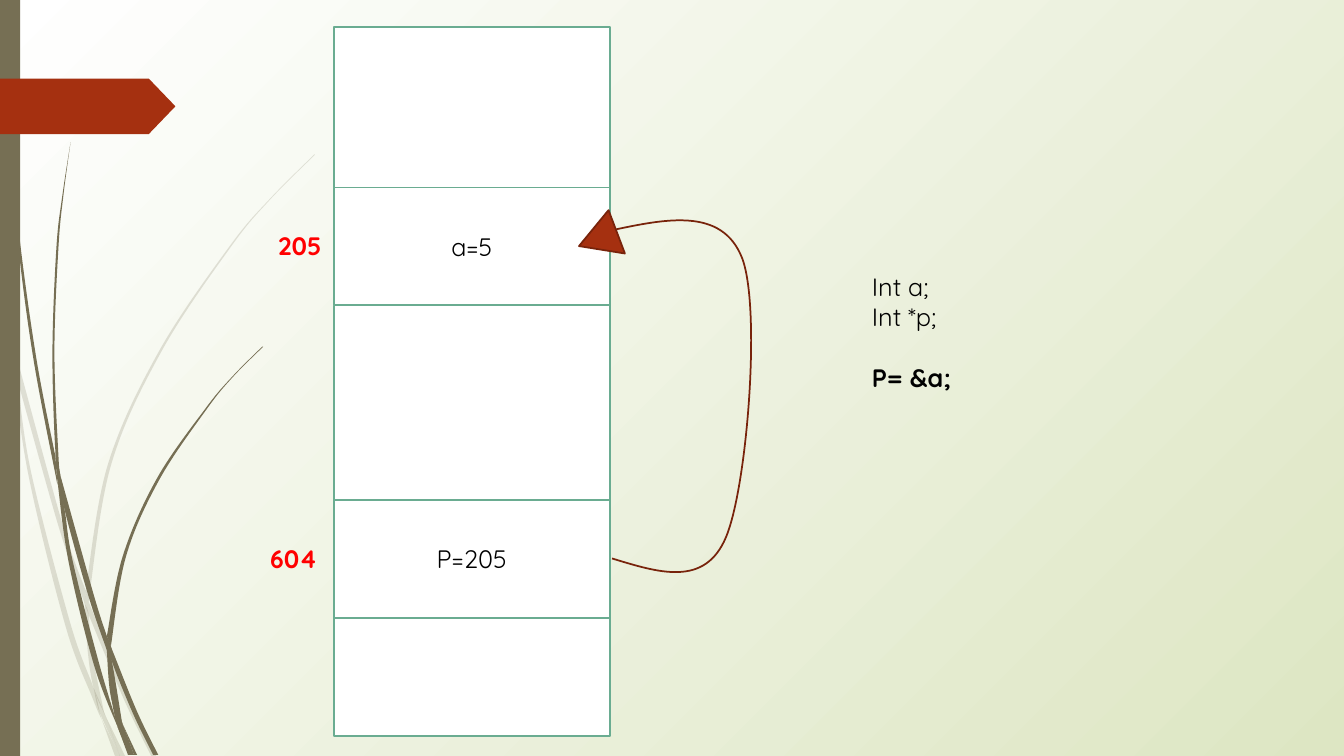
from lxml.etree import SubElement
from pptx import Presentation
from pptx.dml.color import RGBColor
from pptx.enum.shapes import MSO_SHAPE
from pptx.enum.text import MSO_ANCHOR, PP_ALIGN
from pptx.oxml.ns import qn
from pptx.util import Inches, Pt

WHITE = RGBColor(0xFF, 0xFF, 0xFF)
BLACK = RGBColor(0, 0, 0)
RED = RGBColor(0xFF, 0, 0)
PALE_GREEN = RGBColor(0xDD, 0xE6, 0xC3)
OLIVE = RGBColor(0x76, 0x6F, 0x54)
RUST = RGBColor(0xA5, 0x30, 0x10)
DARK_RUST = RGBColor(0x78, 0x23, 0x0B)
TEAL = RGBColor(0x6A, 0xAC, 0x91)

# Each piece of grass is a left and a right edge, from tip to root.
PALE_GRASS = [
    ([(0, 2.99), (0.1, 3.44), (0.11, 3.5)], [(0, 2.82), (0.09, 3.22), (0.11, 3.5)]),
    ([(0.17, 3.76), (0.58, 5.22), (0.84, 5.99)], [(0.14, 3.45), (0.62, 5.2), (0.85, 5.86)]),
    ([(0.88, 6.1), (1.23, 6.94), (1.5, 7.5)],
     [(0.88, 5.96), (0.92, 6.07), (1.27, 6.92), (1.55, 7.5)]),
    ([(1.05, 7.11), (1.19, 7.5)], [(1.05, 7.11), (1.24, 7.5)]),
    ([(0.11, 3.5), (0.28, 4.7), (0.65, 6.21), (0.92, 6.93), (1.01, 7.14)],
     [(0.11, 3.5), (0.17, 3.76), (0.31, 4.69), (0.7, 6.19), (0.93, 6.83), (0.99, 7.07)]),
    ([(0.84, 5.99), (0.87, 6.46), (0.93, 6.83), (1.05, 7.11)],
     [(0.84, 5.99), (0.88, 6.1), (0.91, 6.46), (1.03, 7.06)]),
    ([(3.12, 1.53), (2.68, 1.97), (2.28, 2.44), (1.58, 3.48), (1.07, 4.61), (0.85, 5.86)],
     [(3.12, 1.54), (2.68, 1.98), (2.29, 2.45), (1.6, 3.49), (1.1, 4.62), (0.88, 5.96)]),
    ([(1.01, 7.14), (1.14, 7.5)], [(1.01, 7.14), (1.19, 7.5)]),
    ([(0.85, 5.86), (0.84, 5.99)], [(0.88, 5.96), (0.88, 6.1)]),
    ([(0.93, 6.83), (0.99, 7.07), (1.19, 7.5)], [(0.93, 6.83), (1.05, 7.11), (1.19, 7.5)]),
]
DARK_GRASS = [
    ([(0.03, 0), (0.07, 1.1), (0.17, 2.33), (0.33, 3.55), (0.57, 4.81)],
     [(0.04, 0), (0.08, 1.09), (0.19, 2.32), (0.36, 3.55), (0.55, 4.53)]),
    ([(0.6, 4.72), (0.64, 5.05), (0.88, 5.92), (1.06, 6.45)],
     [(0.6, 4.72), (0.93, 5.9), (1.06, 6.31)]),
    ([(1.1, 6.41), (1.11, 6.56), (1.32, 7.08), (1.52, 7.49)],
     [(1.1, 6.41), (1.13, 6.49), (1.36, 7.06), (1.57, 7.49)]),
    ([(0.57, 4.77), (0.68, 5.57), (0.93, 6.59), (1.17, 7.22)],
     [(0.57, 4.77), (0.64, 5.05), (0.72, 5.56), (0.98, 6.57), (1.16, 7.17)]),
    ([(0.7, 1.41), (0.62, 1.93), (0.56, 2.45), (0.52, 3.49), (0.55, 4.49), (0.6, 4.72)],
     [(0.7, 1.41), (0.63, 1.93), (0.58, 2.45), (0.54, 3.49), (0.58, 4.53), (0.6, 4.72)]),
    ([(1.22, 7.19), (1.33, 7.49)], [(1.22, 7.19), (1.36, 7.49)]),
    ([(0.55, 4.49), (0.57, 4.77), (0.64, 5.05)], [(0.55, 4.49), (0.6, 4.72), (0.64, 5.05)]),
    ([(2.6, 3.44), (2.31, 3.73), (2.04, 4.05), (1.56, 4.74), (1.22, 5.51), (1.06, 6.31)],
     [(2.61, 3.44), (2.31, 3.74), (2.05, 4.06), (1.58, 4.76), (1.25, 5.52), (1.1, 6.41)]),
    ([(1.17, 7.22), (1.27, 7.49)], [(1.17, 7.22), (1.31, 7.49)]),
    ([(1.06, 6.45), (1.1, 6.91), (1.22, 7.19)],
     [(1.06, 6.45), (1.11, 6.56), (1.21, 7.16)]),
    ([(1.06, 6.31), (1.06, 6.45), (1.11, 6.56)], [(1.06, 6.31), (1.1, 6.41), (1.11, 6.56)]),
    ([(1.1, 6.91), (1.17, 7.22), (1.3, 7.49)], [(1.1, 6.91), (1.22, 7.19), (1.33, 7.49)]),
]
POINTER_START = (6.07, 5.54)
POINTER_CURVES = [
    [(6.53, 5.68), (6.99, 5.83), (7.2, 5.33)],
    [(7.41, 4.83), (7.55, 3.06), (7.36, 2.56)],
    [(7.16, 2.05), (6.6, 2.17), (6.04, 2.29)],
]


def smooth(knots):
    """Cubic curves through the knots: two control points and an end each."""
    padded = [knots[0], *knots, knots[-1]]
    curves = []
    for before, start, end, after in zip(padded, padded[1:], padded[2:], padded[3:]):
        pull_out = [s + (e - b) / 6 for b, s, e in zip(before, start, end)]
        pull_in = [e - (a - s) / 6 for s, e, a in zip(start, end, after)]
        curves.append([pull_out, pull_in, end])
    return curves


class MemorySlide:
    font = "Quicksand"
    size = Pt(18)
    line_width = Pt(1.25)

    def __init__(self, presentation):
        self.slide = presentation.slides.add_slide(presentation.slide_layouts[6])
        self.shapes = self.slide.shapes

    def background(self, inner, outer):
        """Radial gradient spreading from the top left corner."""
        fill = self.slide.background.fill
        fill.gradient()
        for stop, color in zip(fill.gradient_stops, (inner, outer)):
            stop.color.rgb = color
        gradient = self.slide.element.find(".//" + qn("a:gradFill"))
        gradient.remove(gradient.find(qn("a:lin")))
        circle = SubElement(gradient, qn("a:path"), path="circle")
        SubElement(circle, qn("a:fillToRect"), r="100000", b="100000")

    def paint(self, shape, fill, line):
        shape.shadow.inherit = False
        if fill is None:
            shape.fill.background()
        else:
            shape.fill.solid()
            shape.fill.fore_color.rgb = fill
        if line is None:
            shape.line.fill.background()
        else:
            shape.line.color.rgb = line
            shape.line.width = self.line_width

    def preset(self, kind, box, fill, line=None):
        shape = self.shapes.add_shape(kind, *map(Inches, box))
        self.paint(shape, fill, line)
        return shape

    def curved(self, start, curves, fill=None, line=None, opacity=100):
        """Freeform whose straight segments are bent into cubic curves."""
        builder = self.shapes.build_freeform(*map(Inches, start))
        builder.add_line_segments([tuple(map(Inches, curve[-1])) for curve in curves],
                                  close=fill is not None)
        shape = builder.convert_to_shape()
        self.paint(shape, fill, line)
        segments = list(shape._element.iter(qn("a:lnTo")))
        for segment, curve in zip(segments, curves):
            segment.tag = qn("a:cubicBezTo")
            segment.remove(segment[0])
            for x, y in curve:
                SubElement(segment, qn("a:pt"), x=str(Inches(x) - shape.left),
                           y=str(Inches(y) - shape.top))
        if opacity < 100:
            color = shape._element.find(".//" + qn("a:srgbClr"))
            SubElement(color, qn("a:alpha"), val=str(opacity * 1000))

    def grass(self, left, right, opacity):
        root = [left[-1], right[-1], right[-1]]
        self.curved(left[0], smooth(left) + [root] + smooth(right[::-1]),
                    OLIVE, opacity=opacity)

    def format(self, paragraph, color=BLACK, bold=False):
        for run in paragraph.runs:
            run.font.name = self.font
            run.font.size = self.size
            run.font.color.rgb = color
            run.font.bold = bold

    def cell(self, top, height, text=""):
        cell = self.preset(MSO_SHAPE.RECTANGLE, (3.31, top, 2.74, height), WHITE, TEAL)
        if text:
            cell.text_frame.text = text
            cell.text_frame.vertical_anchor = MSO_ANCHOR.MIDDLE
            cell.text_frame.paragraphs[0].alignment = PP_ALIGN.CENTER
            self.format(cell.text_frame.paragraphs[0])

    def text(self, box, text, color=BLACK, bold=False):
        frame = self.shapes.add_textbox(*map(Inches, box)).text_frame
        frame.word_wrap = True
        frame.text = text
        for paragraph in frame.paragraphs:
            self.format(paragraph, color, bold)
        return frame.paragraphs


def main():
    presentation = Presentation()
    presentation.slide_width = Inches(13.33)
    presentation.slide_height = Inches(7.5)
    memory = MemorySlide(presentation)

    memory.background(WHITE, PALE_GREEN)
    for pieces, opacity in ((PALE_GRASS, 20), (DARK_GRASS, 100)):
        for left, right in pieces:
            memory.grass(left, right, opacity)
    memory.preset(MSO_SHAPE.RECTANGLE, (0, 0, 0.2, 7.5), OLIVE)
    marker = memory.preset(MSO_SHAPE.PENTAGON, (0, 0.78, 1.74, 0.55), RUST)
    marker.adjustments[0] = 0.48

    memory.cell(0.27, 7.03)
    memory.cell(4.96, 1.17, "P=205")
    memory.cell(1.86, 1.17, "a=5")
    memory.text((2.66, 2.24, 0.81, 0.4), "205", RED, bold=True)
    memory.curved(POINTER_START, POINTER_CURVES, line=DARK_RUST)
    arrowhead = memory.preset(MSO_SHAPE.ISOSCELES_TRIANGLE, (5.7, 2.17, 0.46, 0.4),
                              RUST, DARK_RUST)
    arrowhead.rotation = 249.3
    memory.text((2.58, 5.34, 0.81, 0.4), "604", RED, bold=True)

    code = memory.text((8.55, 2.64, 2.36, 1.31), "Int a;\nInt *p;\nP= &a;")
    code[-1].space_before = Pt(22)
    memory.format(code[-1], bold=True)

    presentation.save("out.pptx")


if __name__ == "__main__":
    main()
